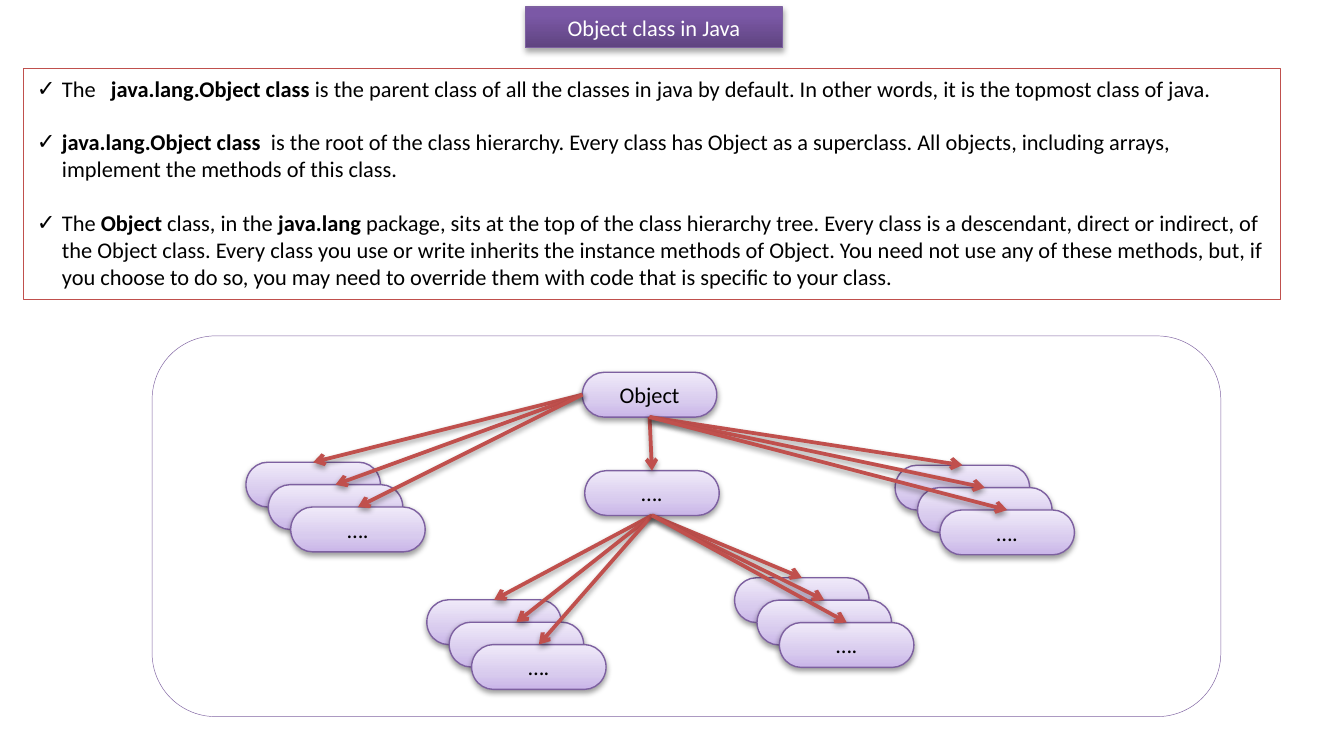
from copy import deepcopy

from pptx import Presentation
from pptx.dml.color import RGBColor
from pptx.enum.shapes import MSO_CONNECTOR as Link, MSO_SHAPE as Preset
from pptx.enum.text import MSO_ANCHOR as Anchor, MSO_AUTO_SIZE as AutoSize, PP_ALIGN as Align
from pptx.oxml.ns import qn
from pptx.oxml.xmlchemy import OxmlElement
from pptx.util import Pt

WHITE = RGBColor(0xFF, 0xFF, 0xFF)
BLACK = RGBColor(0x00, 0x00, 0x00)
RED = RGBColor(0xC0, 0x50, 0x4D)
PURPLE = RGBColor(0x80, 0x64, 0xA2)
EDGE = RGBColor(0x7D, 0x60, 0xA0)
TITLE_GRADIENT = [(0, RGBColor(0x5F, 0x44, 0x80)), (0.8, RGBColor(0x7B, 0x58, 0xA6)),
                  (1, RGBColor(0x7C, 0x57, 0xA8))]
NODE_GRADIENT = [(0, RGBColor(0xC9, 0xB5, 0xE8)), (0.35, RGBColor(0xD8, 0xCB, 0xEE)),
                 (1, RGBColor(0xF0, 0xEA, 0xF9))]

HEADING = "Object class in Java"
POINTS = [
    [("The   ", False), ("java.lang.Object class", True),
     (" is the parent class of all the classes in java by default. In other words, "
      "it is the topmost class of java.", False)],
    [("java.lang.Object class ", True),
     (" is the root of the class hierarchy. Every class has Object as a superclass. "
      "All objects, including arrays, implement the methods of this class.", False)],
    [("The ", False), ("Object", True), (" class, in the ", False), ("java.lang", True),
     (" package, sits at the top of the class hierarchy tree. Every class is a descendant, "
      "direct or indirect, of the Object class. Every class you use or write inherits the "
      "instance methods of Object. You need not use any of these methods, but, if you choose "
      "to do so, you may need to override them with code that is specific to your class.", False)],
]
STACKS = {
    "root": ("Object", 312, 199.5, 1),
    "left": ("….", 131.8, 247.7, 3),
    "right": ("….", 479.6, 249.3, 3),
    "middle": ("….", 313.3, 252.2, 1),
    "lower right": ("….", 393.6, 309.6, 3),
    "lower left": ("….", 228.7, 321.4, 3),
}
TOP, LEFT, BOTTOM = 0, 1, 2
LINKS = [("root", LEFT, "left"), ("root", BOTTOM, "middle"), ("middle", BOTTOM, "lower left"),
         ("middle", BOTTOM, "lower right"), ("root", BOTTOM, "right")]
NODE_WIDTH, NODE_HEIGHT, STACK_STEP = 72, 24, 12
BULLET_INDENT = Pt(13.5)
LINE_GAP = Pt(14.4)


def apply(target, values):
    for name, value in values.items():
        setattr(target, name, value)


def place(shape, left, top, width, height):
    apply(shape, {"left": Pt(left), "top": Pt(top), "width": Pt(width), "height": Pt(height)})


def outline(shape, color, width):
    shape.line.color.rgb = color
    shape.line.width = Pt(width)


def fill_plain(shape):
    shape.fill.solid()
    shape.fill.fore_color.rgb = WHITE


def fill_gradient(shape, gradient):
    shape.fill.gradient()
    shape.fill.gradient_angle = 90
    stop_list = shape.element.spPr.find(".//" + qn("a:gsLst"))
    stop_list.append(deepcopy(stop_list[0]))
    for stop, (position, color) in zip(shape.fill.gradient_stops, gradient):
        stop.position = position
        stop.color.rgb = color


def add_child(parent, tag, **attributes):
    child = OxmlElement(tag)
    for name, value in attributes.items():
        child.set(name, str(value))
    parent.append(child)
    return child


def cast_shadow(effects, distance, opacity):
    shadow = add_child(effects, "a:outerShdw", blurRad=Pt(3.1), dist=Pt(distance),
                       dir=90 * 60000, rotWithShape=0)
    add_child(add_child(shadow, "a:srgbClr", val=BLACK), "a:alpha", val=opacity * 1000)


def shade(shape, distance, opacity):
    shape.shadow.inherit = False
    cast_shadow(shape.element.spPr.find(qn("a:effectLst")), distance, opacity)


def write(paragraph, text, color, bold=False):
    run = paragraph.add_run()
    run.text = text
    apply(run.font, {"name": "Calibri", "size": Pt(12), "bold": bold})
    run.font.color.rgb = color


def add_node(shapes, label, left, top):
    node = shapes.add_shape(Preset.FLOWCHART_TERMINATOR, Pt(left), Pt(top),
                            Pt(NODE_WIDTH), Pt(NODE_HEIGHT))
    fill_gradient(node, NODE_GRADIENT)
    outline(node, EDGE, 0.75)
    shade(node, 1.6, 38)
    if label:
        node.text_frame.vertical_anchor = Anchor.MIDDLE
        paragraph = node.text_frame.paragraphs[0]
        paragraph.alignment = Align.CENTER
        write(paragraph, label, BLACK)
    return node


def add_stack(shapes, label, left, top, count):
    return [add_node(shapes, label if i == count - 1 else "",
                     left + i * STACK_STEP, top + i * STACK_STEP) for i in range(count)]


def add_arrow(shapes, parent, side, child):
    arrow = shapes.add_connector(Link.STRAIGHT, 0, 0, 0, 0)
    arrow.begin_connect(parent, side)
    arrow.end_connect(child, TOP)
    outline(arrow, RED, 2)
    properties = arrow.element.spPr
    add_child(properties.find(qn("a:ln")), "a:tailEnd", type="arrow")
    cast_shadow(add_child(properties, "a:effectLst"), 1.6, 38)


def main():
    deck = Presentation()
    deck.slide_width, deck.slide_height = Pt(720), Pt(396)
    slide = deck.slides.add_slide(deck.slide_layouts[1])
    shapes = slide.shapes
    heading, points = slide.placeholders

    place(heading, 281.5, 3.8, 137.8, 21.8)
    fill_gradient(heading, TITLE_GRADIENT)
    outline(heading, EDGE, 0.75)
    shade(heading, 1.8, 35)
    place(points, 12.5, 36.5, 673.5, 123.8)
    fill_plain(points)
    outline(points, RED, 0.25)
    for box, anchor in ((heading, Anchor.MIDDLE), (points, Anchor.TOP)):
        apply(box.text_frame, {"auto_size": AutoSize.NONE, "word_wrap": True,
                               "vertical_anchor": anchor})
    write(heading.text_frame.paragraphs[0], HEADING, WHITE)

    for i, runs in enumerate(POINTS):
        frame = points.text_frame
        paragraph = frame.add_paragraph() if i else frame.paragraphs[0]
        paragraph.space_before = LINE_GAP if i else Pt(0)
        layout = paragraph._p.get_or_add_pPr()
        layout.set("marL", str(BULLET_INDENT))
        layout.set("indent", str(-BULLET_INDENT))
        add_child(layout, "a:buChar", char="✓")
        for text, bold in runs:
            write(paragraph, text, BLACK, bold)

    panel = shapes.add_shape(Preset.ROUNDED_RECTANGLE, Pt(81.5), Pt(180), Pt(572.5), Pt(204))
    panel.shadow.inherit = False
    fill_plain(panel)
    outline(panel, PURPLE, 0.25)

    stacks = {name: add_stack(shapes, *stack) for name, stack in STACKS.items()}
    for parent, side, children in LINKS:
        for child in stacks[children]:
            add_arrow(shapes, stacks[parent][0], side, child)

    deck.save("out.pptx")


if __name__ == "__main__":
    main()
